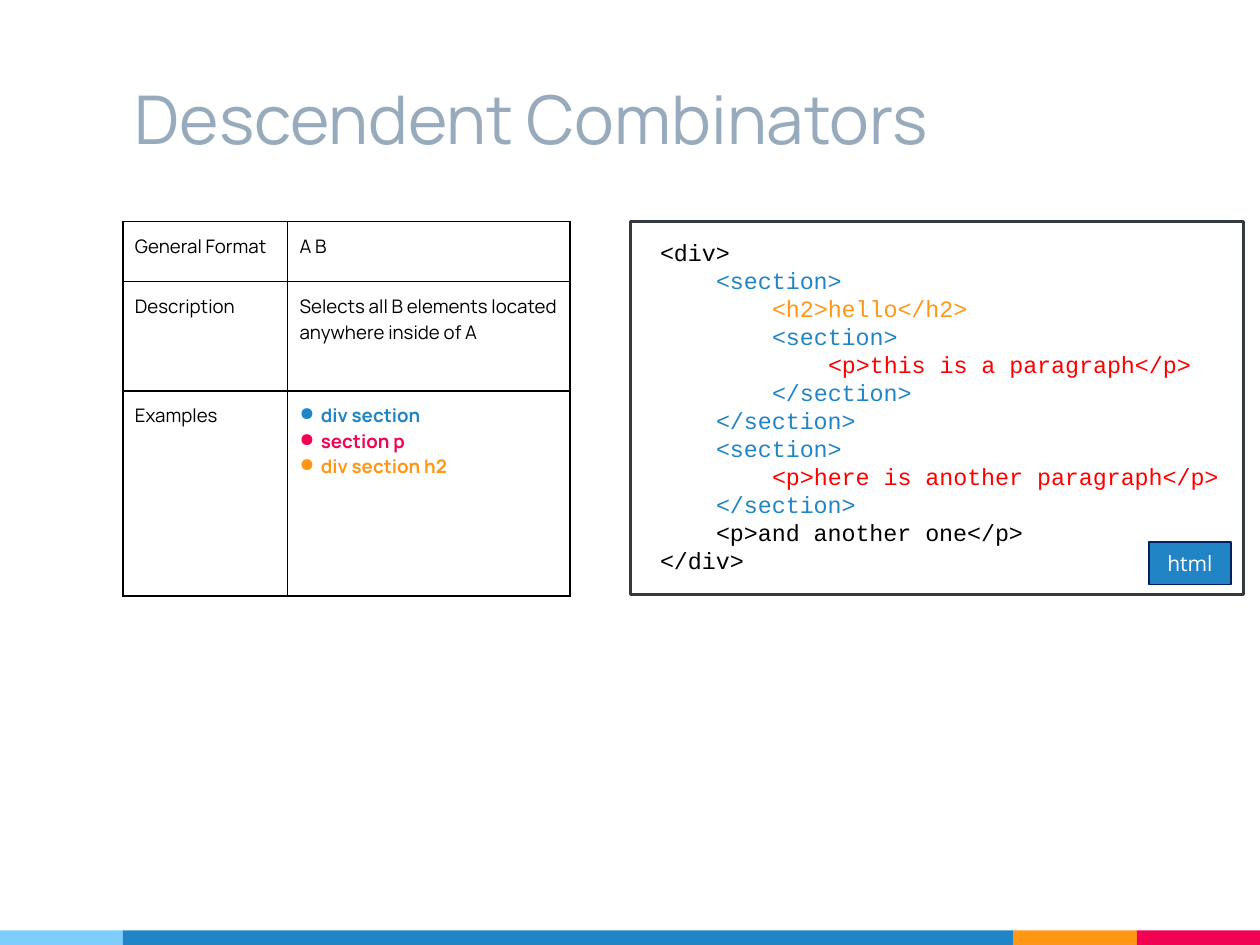
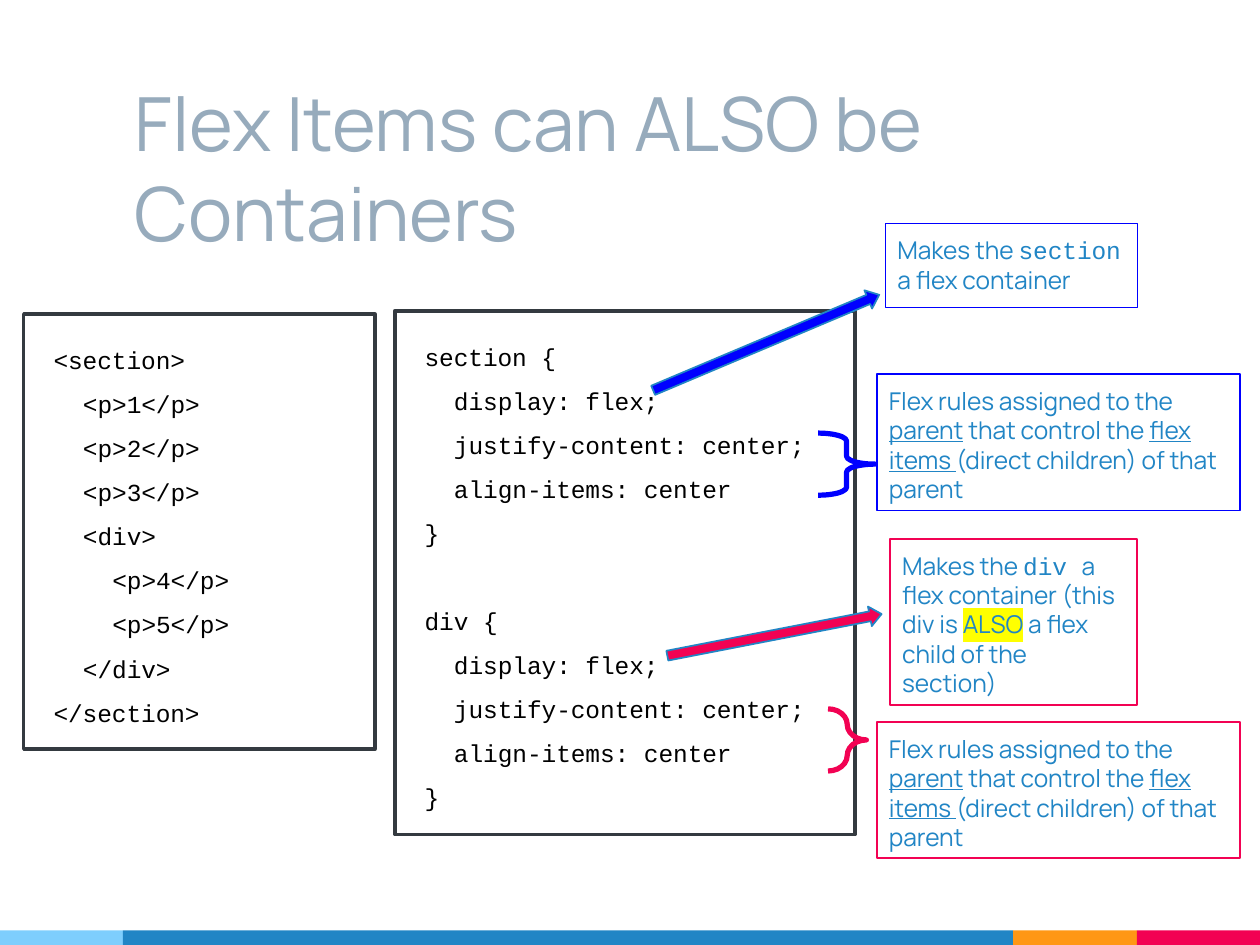
from lxml.etree import SubElement
from pptx import Presentation
from pptx.dml.color import RGBColor
from pptx.enum.shapes import MSO_SHAPE
from pptx.enum.text import MSO_ANCHOR, PP_ALIGN
from pptx.oxml.ns import qn
from pptx.util import Cm, Pt

COLORS = {
    "title": "97ABBC", "black": "000000", "white": "FFFFFF", "frame": "343A40",
    "sky": "7ECEFD", "blue": "2185C5", "orange": "FF9715", "pink": "F20253",
    "red": "FF0000", "pure blue": "0000FF", "navy": "002060", "yellow": "FFFF00",
}
SANS, MONO, LABEL = "Manrope", "Courier New", "Open Sans"
STRIPES = [("sky", 1.86), ("blue", 13.46), ("orange", 1.87), ("pink", 1.86)]


def rgb(name):
    return RGBColor.from_string(COLORS[name])


def add_color(parent, tag, name):
    holder = SubElement(parent, qn(tag))
    SubElement(holder, qn("a:srgbClr"), val=COLORS[name])
    return holder


def write(para, text, font=SANS, size=10.5, color="black", bold=False,
          underline=False, highlight=None):
    """Append one formatted span to a paragraph."""
    span = para.add_run()
    span.text = text
    style = span.font
    style.name, style.size, style.bold = font, Pt(size), bold
    style.underline = underline
    style.color.rgb = rgb(color)
    if highlight:
        properties = span._r.get_or_add_rPr()
        mark = add_color(properties, "a:highlight", highlight)
        properties.find(qn("a:solidFill")).addnext(mark)


def indent(para, left, first=0):
    properties = para._p.get_or_add_pPr()
    properties.set("marL", str(int(left)))
    properties.set("indent", str(int(first)))
    return properties


def paragraphs(frame, count):
    """Yield the first paragraph of a frame, then new ones."""
    for number in range(count):
        yield frame.add_paragraph() if number else frame.paragraphs[0]


class SlideBuilder:
    def __init__(self, deck):
        self.deck = deck
        self.page = None

    def new_page(self, title, size):
        self.page = self.deck.slides.add_slide(self.deck.slide_layouts[6])
        left = 0
        for color, width in STRIPES:
            self.shape(MSO_SHAPE.RECTANGLE, left, 14.07, width, 0.22, fill=color)
            left += width
        box = self.page.shapes.add_textbox(Cm(1.86), Cm(0.99), Cm(13.46), Cm(2.39))
        frame = self.prepare(box, 0.18)
        write(frame.paragraphs[0], title, size=size, color="title")

    def shape(self, kind, left, top, width, height, fill=None, line=None, weight=0.75):
        shape = self.page.shapes.add_shape(
            kind, Cm(left), Cm(top), Cm(width), Cm(height))
        shape.shadow.inherit = False
        if fill:
            shape.fill.solid()
            shape.fill.fore_color.rgb = rgb(fill)
        else:
            shape.fill.background()
        if line:
            shape.line.color.rgb = rgb(line)
            shape.line.width = Pt(weight)
        else:
            shape.line.fill.background()
        return shape

    def prepare(self, shape, inset, align=PP_ALIGN.LEFT, anchor=MSO_ANCHOR.TOP):
        """Set wrapping, insets and alignment; return the text frame."""
        frame = shape.text_frame
        frame.word_wrap = True
        frame.vertical_anchor = anchor
        frame.margin_left = frame.margin_right = Cm(inset)
        frame.margin_top = frame.margin_bottom = Cm(inset)
        frame.paragraphs[0].alignment = align
        frame.paragraphs[0].line_spacing = 1.0
        return frame

    def code(self, left, top, width, height, lines, size, step, spacing=1.0):
        """Frame code lines given as (level, text, color); step is characters per level.

        A line without text leaves room above the next one."""
        box = self.shape(MSO_SHAPE.RECTANGLE, left, top, width, height,
                         line="frame", weight=1.5)
        frame = self.prepare(box, 0.25)
        shown = [line for line in lines if line]
        gaps = {id(after) for before, after in zip(lines, lines[1:]) if not before}
        for para, line in zip(paragraphs(frame, len(shown)), shown):
            level, text, color = line
            indent(para, Cm(0.2) + Pt(0.6 * size * step * level))
            para.alignment = PP_ALIGN.LEFT
            para.line_spacing = spacing
            if id(line) in gaps:
                para.space_before = Pt(1.2 * size * spacing)
            write(para, text, font=MONO, size=size, color=color)

    def note(self, left, top, width, height, line, spans):
        box = self.shape(MSO_SHAPE.RECTANGLE, left, top, width, height, line=line)
        para = self.prepare(box, 0.18).paragraphs[0]
        for text, style in spans:
            write(para, text, color="blue", **style)

    def label(self, left, top, width, height, text):
        box = self.shape(MSO_SHAPE.RECTANGLE, left, top, width, height,
                         fill="blue", line="navy")
        frame = self.prepare(box, 0, PP_ALIGN.CENTER, MSO_ANCHOR.MIDDLE)
        write(frame.paragraphs[0], text, font=LABEL, size=9, color="white")

    def arrow(self, left, top, width, angle, color):
        arrow = self.shape(MSO_SHAPE.RIGHT_ARROW, left, top, width, 0.3,
                           fill=color, line="blue")
        arrow.adjustments[1] = 0.6
        arrow.rotation = angle

    def brace(self, left, top, width, color, curve):
        brace = self.shape(MSO_SHAPE.RIGHT_BRACE, left, top, width, 0.94,
                           line=color, weight=2.25)
        brace.adjustments[0] = curve

    def table(self, left, top, widths, heights, rows):
        """Draw a ruled table; a list in a cell becomes coloured bullets."""
        table = self.page.shapes.add_table(
            len(heights), len(widths), Cm(left), Cm(top),
            Cm(sum(widths)), Cm(sum(heights))).table
        table.first_row = table.horz_banding = False
        for column, width in zip(table.columns, widths):
            column.width = Cm(width)
        for row, height, contents in zip(table.rows, heights, rows):
            row.height = Cm(height)
            for cell, content in zip(row.cells, contents):
                self.cell(cell, content)

    def cell(self, cell, content):
        cell.margin_left = cell.margin_right = Cm(0.18)
        cell.margin_top = cell.margin_bottom = Cm(0.18)
        properties = cell._tc.get_or_add_tcPr()
        for side in "LRTB":
            border = SubElement(properties, qn(f"a:ln{side}"), w=str(Pt(0.75)))
            add_color(border, "a:solidFill", "black")
        cell.fill.background()
        if isinstance(content, str):
            write(cell.text_frame.paragraphs[0], content, size=8)
            return
        for para, (text, color) in zip(paragraphs(cell.text_frame, len(content)), content):
            bullet = indent(para, Cm(0.32), Cm(-0.32))
            add_color(bullet, "a:buClr", color)
            SubElement(bullet, qn("a:buChar"), char="●")
            write(para, text, size=8, color=color, bold=True)


def descendent_page(builder):
    builder.new_page("Descendent Combinators", 28.8)
    builder.code(9.53, 3.35, 9.27, 5.64, [
        (0, "<div>", "black"),
        (1, "<section>", "blue"),
        (2, "<h2>hello</h2>", "orange"),
        (2, "<section>", "blue"),
        (3, "<p>this is a paragraph</p>", "red"),
        (2, "</section>", "blue"),
        (1, "</section>", "blue"),
        (1, "<section>", "blue"),
        (2, "<p>here is another paragraph</p>", "red"),
        (1, "</section>", "blue"),
        (1, "<p>and another one</p>", "black"),
        (0, "</div>", "black"),
    ], size=10, step=4)
    builder.table(1.86, 3.35, [2.49, 4.27], [0.91, 1.65, 3.1], [
        ("General Format", "A B"),
        ("Description", "Selects all B elements located anywhere inside of A"),
        ("Examples", [("div section", "blue"), ("section p", "pink"),
                      ("div section h2", "orange")]),
    ])
    builder.label(17.37, 8.2, 1.24, 0.64, "html")


def flex_rules(selector):
    return [
        (0, f"{selector} {{", "black"),
        (1, "display: flex;", "black"),
        (1, "justify-content: center;", "black"),
        (1, "align-items: center", "black"),
        (0, "}", "black"),
    ]


def flex_page(builder):
    builder.new_page("Flex Items can ALSO be Containers", 32)
    markup = [(0, "<section>"), (1, "<p>1</p>"), (1, "<p>2</p>"), (1, "<p>3</p>"),
              (1, "<div>"), (2, "<p>4</p>"), (2, "<p>5</p>"), (1, "</div>"),
              (0, "</section>")]
    layout = {"size": 10.5, "step": 2, "spacing": 1.5}
    builder.code(0.36, 4.75, 5.31, 6.58,
                 [(level, text, "black") for level, text in markup], **layout)
    builder.code(5.97, 4.7, 6.96, 7.92,
                 flex_rules("section") + [None] + flex_rules("div"), **layout)

    builder.brace(12.37, 6.55, 0.86, "pure blue", 0.14)
    builder.arrow(9.73, 5.03, 3.71, -22.9, "pure blue")
    builder.note(13.39, 3.38, 3.81, 1.27, "pure blue", [
        ("Makes the ", {}), ("section ", {"font": MONO}), ("a flex container", {})])
    builder.brace(12.52, 10.72, 0.58, "pink", 0.5)
    builder.arrow(10.06, 9.45, 3.3, -11, "pink")
    builder.note(13.46, 8.15, 3.73, 2.51, "pink", [
        ("Makes the ", {}), ("div ", {"font": MONO}),
        ("a flex container (this div is ", {}), ("ALSO", {"highlight": "yellow"}),
        (" a flex child of the section)", {})])
    for top, color in [(5.66, "pure blue"), (10.92, "pink")]:
        builder.note(13.26, top, 5.49, 2.06, color, [
            ("Flex rules assigned to the ", {}), ("parent", {"underline": True}),
            (" that control the ", {}), ("flex items ", {"underline": True}),
            ("(direct children) of that parent", {})])


def main():
    deck = Presentation()
    deck.slide_width, deck.slide_height = Cm(19.05), Cm(14.29)
    builder = SlideBuilder(deck)
    descendent_page(builder)
    flex_page(builder)
    deck.save("out.pptx")


if __name__ == "__main__":
    main()
